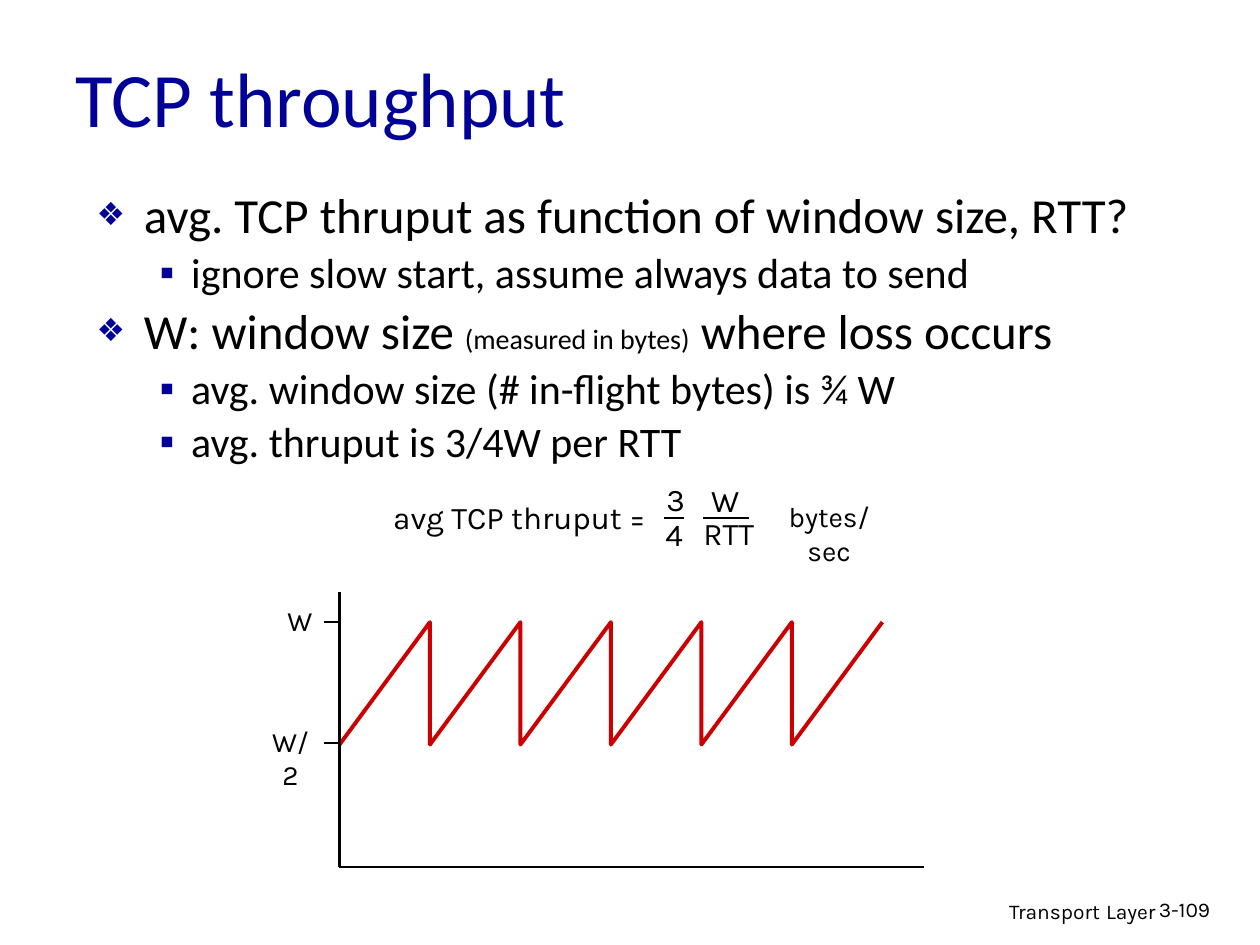
from lxml.etree import SubElement
from pptx import Presentation
from pptx.dml.color import RGBColor
from pptx.enum.shapes import MSO_CONNECTOR
from pptx.enum.text import MSO_ANCHOR, PP_ALIGN
from pptx.oxml.ns import qn
from pptx.util import Pt

"""Build the TCP throughput slide with its sawtooth window diagram."""


def color(hex_value):
    return RGBColor.from_string(hex_value)


def add_text(left, top, width, height, runs, align=PP_ALIGN.CENTER, wrap=False):
    tf = slide.shapes.add_textbox(Pt(left), Pt(top), Pt(width), Pt(height)).text_frame
    tf.word_wrap = wrap
    p = tf.paragraphs[0]
    p.alignment = align
    for text, size in runs:
        r = p.add_run()
        r.text = text
        r.font.size = Pt(size)
        r.font.name = "Karla"
        r.font.color.rgb = color("000000")


prs = Presentation()
prs.slide_width, prs.slide_height = Pt(720), Pt(540)
slide = prs.slides.add_slide(prs.slide_layouts[5])

title = slide.shapes.title
title.left, title.top, title.width, title.height = Pt(36), Pt(18.7), Pt(612), Pt(73.4)
tf = title.text_frame
tf.text = "TCP throughput"
tf.vertical_anchor = MSO_ANCHOR.MIDDLE
p = tf.paragraphs[0]
p.alignment = PP_ALIGN.LEFT
font = p.runs[0].font
font.size, font.name, font.color.rgb = Pt(44), "Calibri", color("000099")

add_text(439.2, 507.6, 228.2, 22.3,
         [("Transport", 12), (" ", 14), ("Layer", 12)], PP_ALIGN.RIGHT, True)
add_text(655.2, 509, 53.3, 21.6, [("3-109", 12)], PP_ALIGN.LEFT, True)

levels = [
    {"bullet": "❖", "bullet_size": 65, "margin": 27, "indent": -27, "before": 7},
    {"bullet": "▪", "bullet_size": 100, "margin": 54, "indent": -18, "before": 6},
]
points = [
    (0, [("avg. TCP thruput as function of window size, RTT?", 28)]),
    (1, [("ignore slow start, assume always data to send", 24)]),
    (0, [("W: window size ", 28), ("(measured in bytes)", 16), (" where loss occurs", 28)]),
    (1, [("avg. window size (# in-flight bytes) is ¾ W", 24)]),
    (1, [("avg. thruput is 3/4W per RTT", 24)]),
]
tf = slide.shapes.add_textbox(Pt(48.2), Pt(107.3), Pt(651), Pt(365.8)).text_frame
tf.word_wrap = True
for i, (level, runs) in enumerate(points):
    style = levels[level]
    p = tf.add_paragraph() if i else tf.paragraphs[0]
    p.level = level
    p.line_spacing = 0.85
    p.space_before = Pt(style["before"] if i else 0)
    pPr = p._p.get_or_add_pPr()
    pPr.set("marL", str(Pt(style["margin"])))
    pPr.set("indent", str(Pt(style["indent"])))
    SubElement(SubElement(pPr, qn("a:buClr")), qn("a:srgbClr"), val="000099")
    SubElement(pPr, qn("a:buSzPct"), val=str(style["bullet_size"] * 1000))
    SubElement(pPr, qn("a:buFont"), typeface="Arial")
    SubElement(pPr, qn("a:buChar"), char=style["bullet"])
    for text, size in runs:
        r = p.add_run()
        r.text = text
        r.font.size = Pt(size)
        r.font.name = "Calibri"
        r.font.color.rgb = color("000000")

axis_x, base_y, full_y, half_y, period = 194, 495.5, 355.5, 425.5, 51.7
teeth = []
for i in range(1, 7):
    x = axis_x + i * period
    teeth += [(Pt(x), Pt(full_y)), (Pt(x), Pt(half_y))]
builder = slide.shapes.build_freeform(Pt(axis_x), Pt(half_y))
builder.add_line_segments(teeth[:-1], close=False)
sawtooth = builder.convert_to_shape()
sawtooth.shadow.inherit = False
sawtooth.fill.background()
sawtooth.line.color.rgb = color("CC0000")
sawtooth.line.width = Pt(2.25)

for x1, y1, x2, y2 in [
    (axis_x, base_y, 528, base_y),
    (axis_x, 338.5, axis_x, base_y),
    (axis_x - 9, full_y, axis_x, full_y),
    (axis_x - 9, half_y - 1, axis_x, half_y - 1),
    (379.5, 296, 391, 296),
    (402, 296, 428, 296),
]:
    line = slide.shapes.add_connector(MSO_CONNECTOR.STRAIGHT, Pt(x1), Pt(y1), Pt(x2), Pt(y2))
    line.line.color.rgb = color("000000")
    line.line.width = Pt(1.5)
    SubElement(line._element.spPr, qn("a:effectLst"))

for left, top, width, text, size, wrap in [
    (157, 341.3, 28.8, "W", 16, False),
    (146, 410.4, 40, "W/2", 16, True),
    (213.8, 280.8, 170.6, "avg TCP thruput = ", 18, False),
    (373.7, 270.7, 24.5, "3", 18, False),
    (373, 290.9, 24.5, "4", 18, False),
    (398.9, 271.4, 31, "W", 18, False),
    (393.8, 290.2, 45.4, "RTT", 18, False),
    (433.8, 282.2, 80, "bytes/sec", 16, True),
]:
    add_text(left, top, width, 28, [(text, size)], wrap=wrap)

prs.save("out.pptx")
